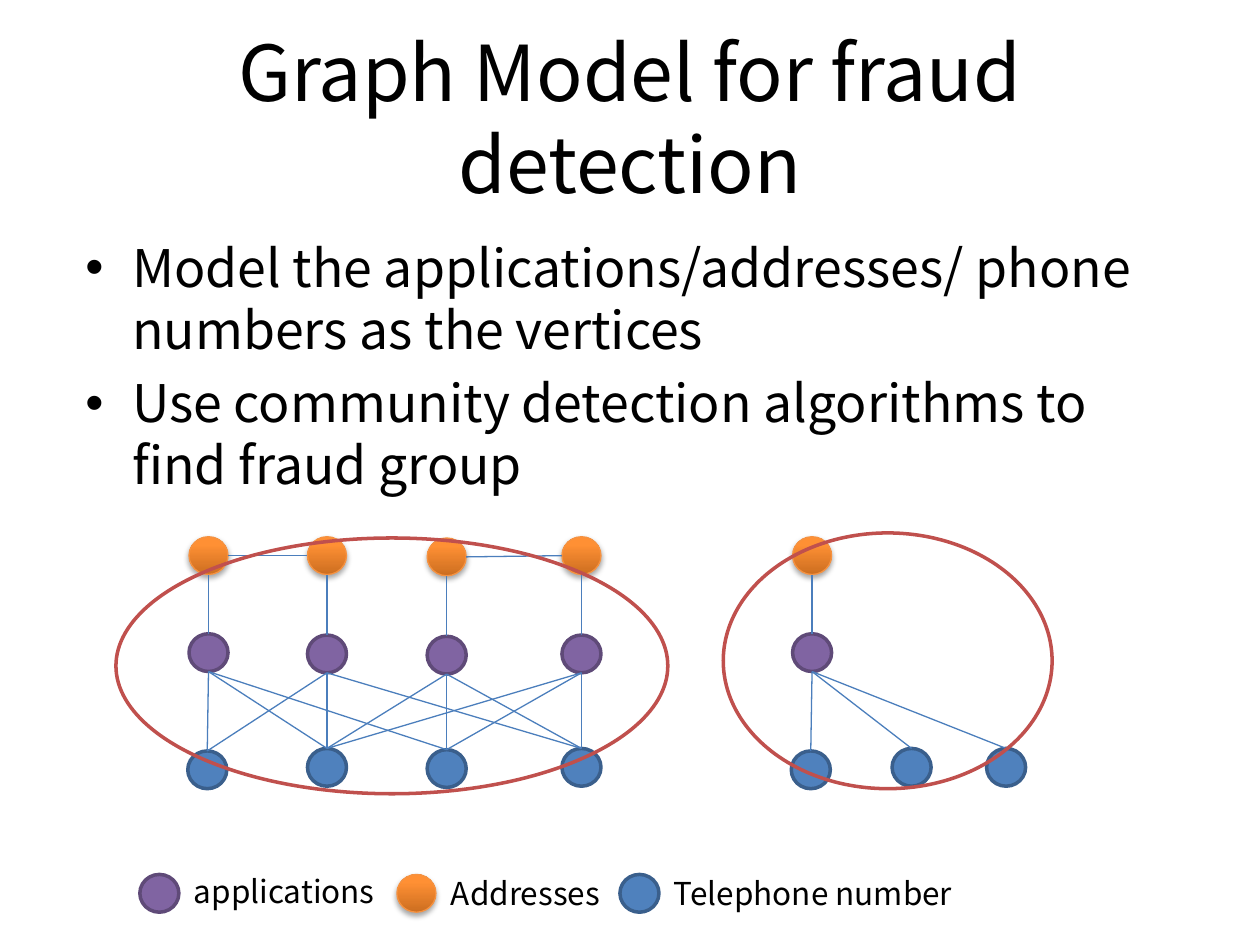
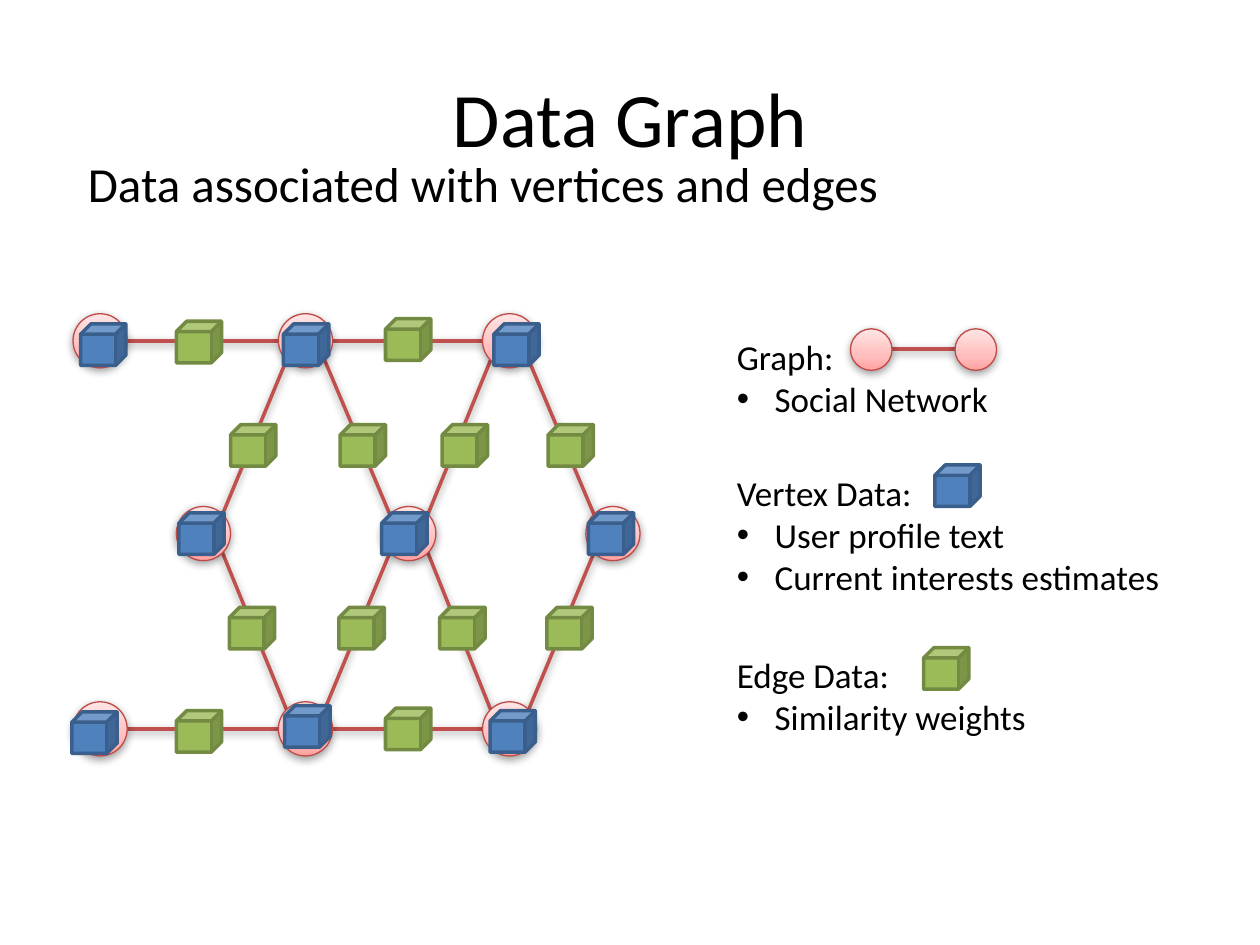
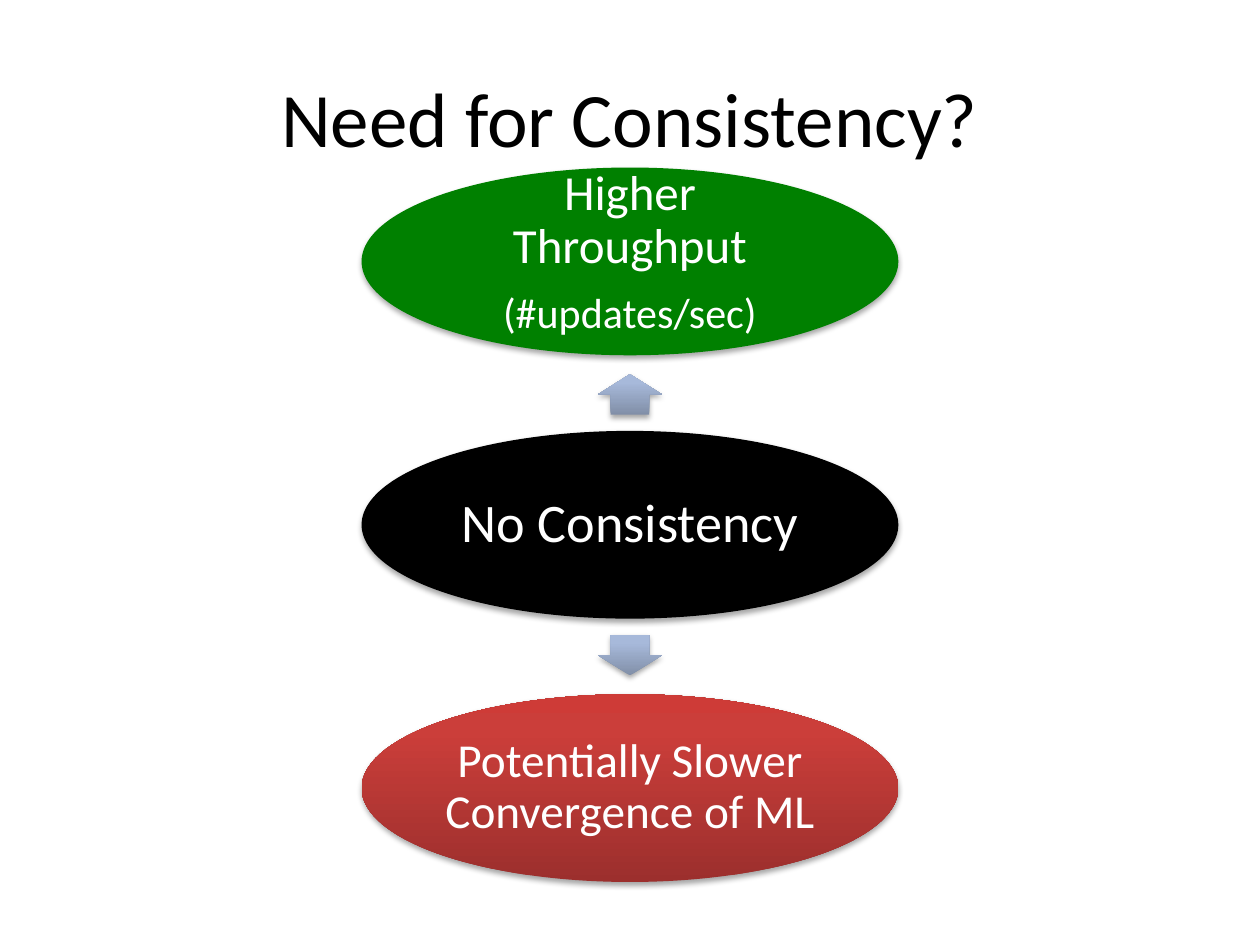
import pptx
import pptx.dml.color
import pptx.enum.shapes
import pptx.enum.text
import pptx.oxml
import pptx.oxml.ns
import pptx.util

Inches, Pt = pptx.util.Inches, pptx.util.Pt
SHAPE = pptx.enum.shapes.MSO_SHAPE
ALIGN = pptx.enum.text.PP_ALIGN
ANCHOR = pptx.enum.text.MSO_ANCHOR
LATIN, CJK = "Calibri", "Noto Sans CJK SC"
BLACK, WHITE, RED = "000000", "FFFFFF", "C0504D"

SOFT = (35, 3.1, 1.8)
DEEP = (38, 5, 1.6)
ARROW_GRAD = [(0, "818FA8"), (80, "A7B9DA"), (100, "A7BADC")]
RED_GRAD = [(0, "9C2F2D"), (80, "CB3E3A"), (100, "CE3B37")]
APPLICATION = dict(fill="8064A2", line=("5F4A78", 2))
ADDRESS = dict(fill=[(0, "CC6E20"), (80, "FF9034"), (100, "FF9136")],
               line=("F69240", 0.75), shadow=SOFT)
BLUE = dict(fill="4F81BD", line=("3A5F8C", 2))
COMMUNITY = dict(line=(RED, 2))
VERTEX = dict(fill=[(0, "FFA2A1"), (35, "FFBEBD"), (100, "FFE5E5")],
              line=("BE4B48", 0.75), shadow=DEEP)
EDGE_DATA = dict(fill="9BBB59", line=("738A42", 2))
THIN = dict(line=("4B7EBC", 0.75))
EDGE = dict(line=(RED, 2), shadow=DEEP)
NODE_W, NODE_H = 0.31, 0.3
VERTEX_D = 0.43


def rgb(value):
    """Turn a hex string into a colour."""
    return pptx.dml.color.RGBColor.from_string(value)


def put(obj, **values):
    """Set several attributes of an object."""
    for name, value in values.items():
        setattr(obj, name, value)


def xml(tag, parent, **attrs):
    """Append a drawing element with its attributes."""
    el = pptx.oxml.xmlchemy.OxmlElement(tag)
    for name, value in attrs.items():
        el.set(name, str(value))
    parent.append(el)
    return el


def set_shadow(sp, shadow):
    """Give a shape or connector its shadow, or none."""
    effects = xml("a:effectLst", sp._element.spPr)
    if shadow:
        alpha, blur, dist = shadow
        outer = xml("a:outerShdw", effects, blurRad=Pt(blur), dist=Pt(dist),
                    dir=5400000, rotWithShape=0)
        color = xml("a:srgbClr", outer, val=BLACK)
        xml("a:alpha", color, val=alpha * 1000)


def set_fill(sp, fill):
    """Fill a shape with a colour, an upward gradient or nothing."""
    if fill is None:
        sp.fill.background()
    elif isinstance(fill, str):
        sp.fill.solid()
        sp.fill.fore_color.rgb = rgb(fill)
    else:
        sp.fill.gradient()
        sp.fill.gradient_angle = 90
        stops = sp._element.spPr.find(".//" + pptx.oxml.ns.qn("a:gsLst"))
        for stop in list(stops):
            stops.remove(stop)
        for pos, color in fill:
            xml("a:srgbClr", xml("a:gs", stops, pos=pos * 1000), val=color)


def set_line(sp, line):
    """Draw an outline from colour and width, or none."""
    if line:
        sp.line.color.rgb = rgb(line[0])
        sp.line.width = Pt(line[1])
    else:
        sp.line.fill.background()


def shape(s, kind, x, y, w, h, fill=None, line=None, shadow=None):
    """Add a preset shape."""
    sp = s.shapes.add_shape(kind, Inches(x), Inches(y), Inches(w), Inches(h))
    set_fill(sp, fill)
    set_line(sp, line)
    set_shadow(sp, shadow)
    return sp


def connect(s, start, end, line, shadow=None):
    """Add a straight connector between two points."""
    ends = [Inches(v) for v in (*start, *end)]
    c = s.shapes.add_connector(pptx.enum.shapes.MSO_CONNECTOR.STRAIGHT, *ends)
    set_line(c, line)
    set_shadow(c, shadow)


def write(tf, items, size, font=LATIN, color=BLACK, hang=0, **para):
    """Write paragraphs; an item is (text, bulleted) or (text, bulleted, size)."""
    put(tf, word_wrap=True, auto_size=pptx.enum.text.MSO_AUTO_SIZE.NONE)
    for i, (words, bulleted, *own) in enumerate(items):
        p = tf.add_paragraph() if i else tf.paragraphs[0]
        if bulleted:
            pPr = p._p.get_or_add_pPr()
            pPr.set("marL", str(Inches(hang)))
            pPr.set("indent", str(-Inches(hang)))
            xml("a:buFont", pPr, typeface="Arial")
            xml("a:buChar", pPr, char="•")
        put(p, **para)
        if not i:
            p.space_before = Pt(0)
        r = p.add_run()
        r.text = words
        put(r.font, size=Pt(own[0] if own else size), name=font)
        r.font.color.rgb = rgb(color)


def textbox(s, x, y, w, h, items, size, **fmt):
    """Add a text box."""
    tb = s.shapes.add_textbox(Inches(x), Inches(y), Inches(w), Inches(h))
    write(tb.text_frame, items, size, **fmt)


def new_slide(prs, title, font=LATIN, **fmt):
    """Add a title-only slide and format its title."""
    s = prs.slides.add_slide(prs.slide_layouts[5])
    t = s.shapes.title
    put(t, left=Inches(0.5), top=Inches(0.3), width=Inches(9), height=Inches(1.25))
    t.text_frame.vertical_anchor = ANCHOR.MIDDLE
    write(t.text_frame, [(title, False)], 44, font, alignment=ALIGN.CENTER, **fmt)
    return s


def node(s, x, y, style):
    """Add a small round node."""
    shape(s, SHAPE.OVAL, x, y, NODE_W, NODE_H, **style)


def community(s, x, y, w, h, addresses, applications, phones, calls, links):
    """Draw one circled community of nodes relative to its box."""
    rows = []
    for places, style in ((addresses, ADDRESS), (applications, APPLICATION), (phones, BLUE)):
        rows.append([(x + dx, y + dy) for dx, dy in places])
        for place in rows[-1]:
            node(s, *place, style)

    def drop(upper, lower):
        """Join the bottom of one node to the top of another."""
        connect(s, (upper[0] + NODE_W / 2, upper[1] + NODE_H),
                (lower[0] + NODE_W / 2, lower[1]), **THIN)

    tops, middles, bottoms = rows
    for top, middle in zip(tops, middles):
        drop(top, middle)
    for i, targets in enumerate(calls):
        for j in targets:
            drop(middles[i], bottoms[j])
    for i, j in links:
        connect(s, (tops[i][0] + NODE_W, tops[i][1] + NODE_H / 2),
                (tops[j][0], tops[j][1] + NODE_H / 2), **THIN)
    shape(s, SHAPE.OVAL, x, y, w, h, **COMMUNITY)


def legend(s, x, y):
    """Draw the key of node types."""
    for dx, dy, w, label, style in (
            (0, -0.07, 1.78, "applications", APPLICATION),
            (2.04, -0.05, 1.45, "Addresses", ADDRESS),
            (3.81, -0.05, 2.91, "Telephone number", BLUE)):
        node(s, x + dx, y, style)
        textbox(s, x + dx + 0.33, y + dy, w, 0.4, [(label, False)], 18,
                font=CJK, line_spacing=Pt(21.6))


def fraud_slide(prs):
    """Build the fraud detection slide."""
    s = new_slide(prs, "Graph Model for fraud detection", CJK, line_spacing=Pt(52.8))
    textbox(s, 0.58, 1.82, 8.92, 1.99, [
        ("Model the applications/addresses/ phone numbers as the vertices", True),
        ("Use community detection algorithms to find fraud group", True)],
        29.6, font=CJK, hang=0.37, line_spacing=Pt(35.5), space_before=Pt(6.5))
    community(s, 0.92, 4.27, 4.38, 2.03,
              [(0.58, -0.01), (1.52, -0.01), (2.47, 0), (3.54, -0.01)],
              [(0.58, 0.76), (1.52, 0.77), (2.47, 0.78), (3.54, 0.77)],
              [(0.57, 1.69), (1.52, 1.67), (2.47, 1.68), (3.54, 1.67)],
              [(0, 1, 2), (0, 1, 3), (1, 2, 3), (1, 2, 3)], [(0, 1), (2, 3)])
    community(s, 5.74, 4.23, 2.61, 2.03, [(0.55, 0.03)], [(0.55, 0.8)],
              [(0.54, 1.73), (1.34, 1.71), (2.09, 1.71)], [(0, 1, 2)], [])
    legend(s, 1.11, 6.94)


def cube(s, x, y, style):
    """Add a data cube."""
    shape(s, SHAPE.CUBE, x, y, 0.36, 0.33, **style)


def data_graph(s, x, y):
    """Draw the lattice of vertices and edges with their data cubes."""
    radius, reach = VERTEX_D / 2, 0.15
    rows = [[(x + shift + dx, y + dy) for dx in (0, 1.63, 3.25)]
            for shift, dy in ((0, 0), (0.82, 1.53), (0, 3.08))]
    middle = rows[1]

    def edge(a, b, dx, dy):
        """Join two vertices at opposite points on their outlines."""
        connect(s, (a[0] + radius + dx, a[1] + radius + dy),
                (b[0] + radius - dx, b[1] + radius - dy), **EDGE)

    for row, rise in ((rows[0], -reach), (rows[2], reach)):
        for a, b in zip(row, row[1:]):
            edge(a, b, radius, 0)
        for k in (1, 2):
            edge(middle[k - 1], row[k], reach, rise)
            edge(middle[k], row[k], -reach, rise)
    cube_shifts = [[(0.06, 0.08), (0.04, 0.08), (0.09, 0.08)],
                   [(0.02, 0.05), (0, 0.05), (0.02, 0.05)],
                   [(-0.01, 0.08), (0.05, 0.03), (0.06, 0.07)]]
    for row, shifts in zip(rows, cube_shifts):
        for (vx, vy), (dx, dy) in zip(row, shifts):
            shape(s, SHAPE.OVAL, vx, vy, VERTEX_D, VERTEX_D, **VERTEX)
            cube(s, vx + dx, vy + dy, BLUE)
    for dy, lefts in ((0.06, [0.82]), (0.04, [2.48]),
                      (0.88, [1.25, 2.12, 2.93, 3.77]),
                      (2.33, [1.24, 2.11, 2.91, 3.76]),
                      (3.15, [0.82]), (3.13, [2.48])):
        for dx in lefts:
            cube(s, x + dx, y + dy, EDGE_DATA)


def key_entry(s, x, y, heading, points):
    """Write one heading of the key with its bullets."""
    items = [(heading, False)] + [(point, True) for point in points]
    textbox(s, x, y, 4, 0.1 + 0.34 * len(items), items, 20, hang=0.3)


def graph_key(s, x, y):
    """Draw the key beside the lattice."""
    key_entry(s, x, y, "Graph:", ["Social Network"])
    key_entry(s, x, y + 1.08, "Vertex Data:", ["User profile text", "Current interests estimates"])
    key_entry(s, x, y + 2.53, "Edge Data:", ["Similarity weights"])
    connect(s, (x + 1.33, y + 0.16), (x + 1.83, y + 0.16), **EDGE)
    for dx in (1, 1.83):
        shape(s, SHAPE.OVAL, x + dx, y, 0.33, 0.33, **VERTEX)
    cube(s, x + 1.67, y + 1.08, BLUE)
    cube(s, x + 1.58, y + 2.53, EDGE_DATA)


def data_graph_slide(prs):
    """Build the data graph slide."""
    s = new_slide(prs, "Data Graph")
    textbox(s, 0.6, 1.17, 8.9, 0.57, [("Data associated with vertices and edges", False)], 28)
    data_graph(s, 0.58, 2.49)
    graph_key(s, 5.75, 2.61)


def consistency_stack(s, x, y, w):
    """Draw three ovals with arrows leading out of the middle one."""
    height, pitch = 1.49, 2.09
    ovals = [([("Higher Throughput", False), ("(#updates/sec)", False, 24)], 28, "008000", 0.17),
             ([("No Consistency", False)], 31, BLACK, 0.04),
             ([("Potentially Slower Convergence of ML", False)], 27, RED_GRAD, 0.04)]
    for k, (items, size, fill, bottom) in enumerate(ovals):
        sp = shape(s, SHAPE.OVAL, x, y + pitch * k, w, height, fill, shadow=SOFT)
        tf = sp.text_frame
        put(tf, vertical_anchor=ANCHOR.MIDDLE, margin_left=Inches(0.03),
            margin_right=Inches(0.03), margin_top=Inches(0.04), margin_bottom=Inches(bottom))
        write(tf, items, size, color=WHITE, alignment=ALIGN.CENTER,
              line_spacing=0.9, space_after=Pt(10.5))
    for kind, dy in ((SHAPE.UP_ARROW, 1.64), (SHAPE.DOWN_ARROW, 3.71)):
        sp = shape(s, kind, x + (w - 0.51) / 2, y + dy, 0.51, 0.32, ARROW_GRAD, shadow=SOFT)
        sp.adjustments[0], sp.adjustments[1] = 0.6, 0.5


def consistency_slide(prs):
    """Build the consistency slide."""
    s = new_slide(prs, "Need for Consistency?")
    consistency_stack(s, 2.87, 1.33, 4.26)


def main():
    """Build the presentation."""
    prs = pptx.Presentation()
    put(prs, slide_width=Inches(10), slide_height=Inches(7.5))
    fraud_slide(prs)
    data_graph_slide(prs)
    consistency_slide(prs)
    prs.save("out.pptx")


if __name__ == "__main__":
    main()
